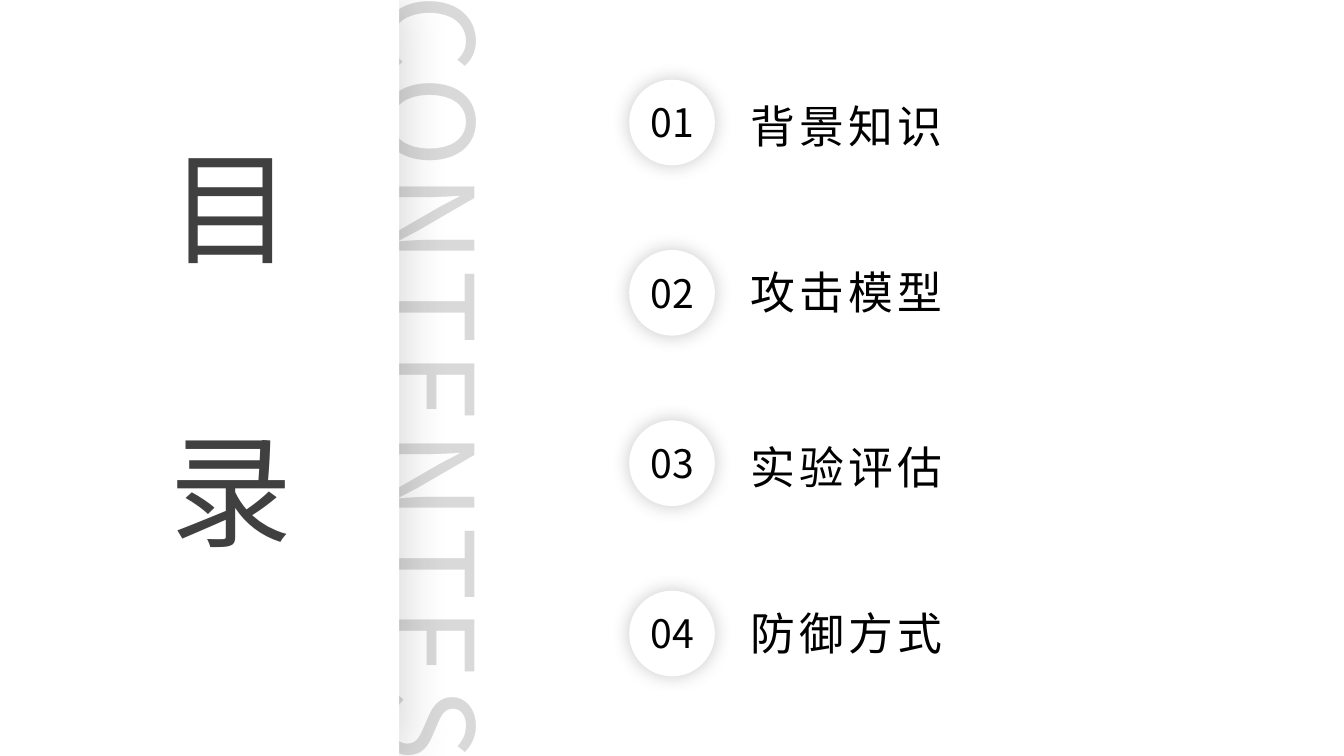
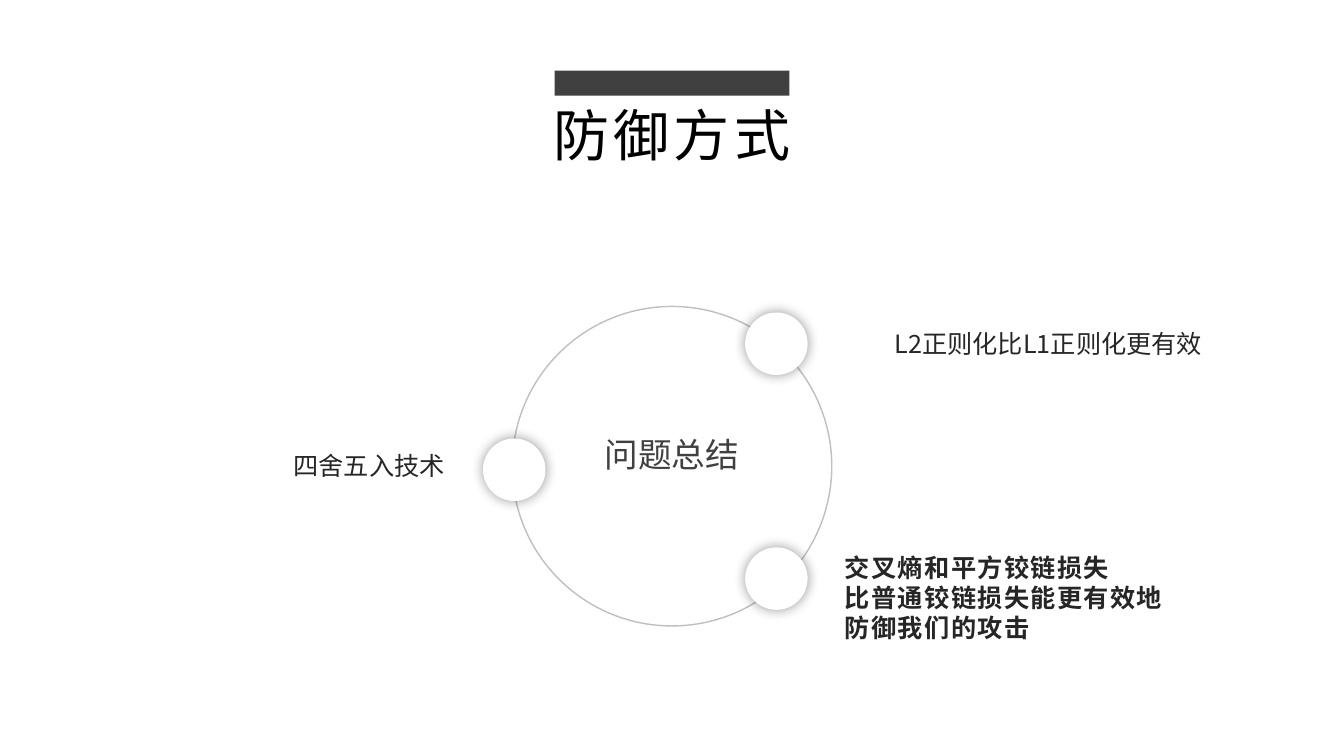
from lxml import etree
from pptx import Presentation
from pptx.dml.color import RGBColor
from pptx.enum.shapes import MSO_SHAPE
from pptx.enum.text import PP_ALIGN
from pptx.oxml.ns import qn
from pptx.util import Inches, Pt

RECT, OVAL = MSO_SHAPE.RECTANGLE, MSO_SHAPE.OVAL
LEFT, CENTER, RIGHT = PP_ALIGN.LEFT, PP_ALIGN.CENTER, PP_ALIGN.RIGHT

# Shared look
FONT = "Noto Sans CJK SC"
WHITE, BLACK, DARK, BODY = "FFFFFF", "000000", "404040", "262626"
PALE, RING = "D9D9D9", "BFBFBF"
# Shadows: opacity %, blur pt, distance pt
PANEL_SHADOW, BADGE_SHADOW, NODE_SHADOW = (16, 36, 3), (22, 14, 0), (40, 9, 0)

# Contents slide
CONTENTS_WORD = "CONTENTES"
HEADING = [("目", 1.25), ("录", 4.06)]  # character, top
CHAPTERS = [("背景知识", 0.93), ("攻击模型", 2.58), ("实验评估", 4.31), ("防御方式", 5.96)]  # name, top
BADGE_TOP, BADGE_STEP, BADGE_SIZE = 0.79, 1.69, 0.85

# Defence slide
DEFENCE_TITLE = "防御方式"
HUB = "问题总结"
NODE_SIZE = 0.62
NODES = [(4.79, 4.35), (7.39, 3.1), (7.39, 5.43)]  # left, top
FINDINGS = [  # lines, box, alignment, emphasis
    (["四舍五入技术"], (1.85, 4.42, 2.66, 0.4), RIGHT, {}),
    (["L2正则化比L1正则化更有效"], (8.47, 3.21, 3.55, 0.4), RIGHT, {}),
    (["交叉熵和平方铰链损失", "比普通铰链损失能更有效地", "防御我们的攻击"],
     (8.28, 5.43, 3.75, 1.01), LEFT, {"bold": True, "spacing": 1}),
]


def rgb(value):
    return RGBColor.from_string(value)


def add_text(slide, lines, box, size, color, align=CENTER, bold=False, spacing=0):
    """Text box with one paragraph per line; spacing is between letters, in points."""
    textbox = slide.shapes.add_textbox(*map(Inches, box))
    frame = textbox.text_frame
    frame.word_wrap = True
    frame.text = "\n".join(lines)
    for paragraph in frame.paragraphs:
        paragraph.alignment = align
        font = paragraph.font
        font.size, font.bold, font.name = Pt(size), bold, FONT
        font.color.rgb = rgb(color)
        properties = font._rPr
        etree.SubElement(properties, qn("a:ea"), typeface=FONT)
        if spacing:
            properties.set("spc", str(spacing * 100))
    return textbox


def add_plain(slide, kind, box, fill=None, line=None, shadow=None):
    """Preset shape with optional fill, outline and soft shadow."""
    shape = slide.shapes.add_shape(kind, *map(Inches, box))
    shape.shadow.inherit = False
    if fill:
        shape.fill.solid()
        shape.fill.fore_color.rgb = rgb(fill)
    else:
        shape.fill.background()
    if line:
        shape.line.color.rgb = rgb(line)
        shape.line.width = Pt(1)
    else:
        shape.line.fill.background()
    if shadow:
        opacity, blur, distance = shadow
        effects = shape._element.spPr.find(qn("a:effectLst"))
        outer = etree.SubElement(effects, qn("a:outerShdw"), blurRad=str(Pt(blur)),
                                 dist=str(Pt(distance)), dir="0", algn="ctr", rotWithShape="0")
        tint = etree.SubElement(outer, qn("a:srgbClr"), val=BLACK)
        etree.SubElement(tint, qn("a:alpha"), val=str(opacity * 1000))


def build_contents(slide):
    # Side panel covering half of the vertical word
    word = add_text(slide, [CONTENTS_WORD], (-0.88, 2.96, 10.34, 1.58), 88, PALE, spacing=5)
    word.rotation = 90
    add_plain(slide, RECT, (0, 0, 3.96, 7.5), WHITE, shadow=PANEL_SHADOW)
    for character, top in HEADING:
        add_text(slide, [character], (1.58, top, 0.81, 1.58), 88, DARK)

    # Numbered chapters
    for index, (chapter, top) in enumerate(CHAPTERS):
        badge_top = BADGE_TOP + index * BADGE_STEP
        add_plain(slide, OVAL, (6.24, badge_top, BADGE_SIZE, BADGE_SIZE), WHITE, shadow=BADGE_SHADOW)
        add_text(slide, [f"{index + 1:02}"], (6.16, badge_top + 0.14, 1.02, 0.57), 28, BLACK)
        add_text(slide, [chapter], (7.34, top, 4.21, 0.64), 32, BLACK, LEFT, spacing=3)


def build_defence(slide):
    # Title under its bar
    add_text(slide, [DEFENCE_TITLE], (3.47, 0.95, 6.39, 0.77), 40, BLACK, spacing=3)
    add_plain(slide, RECT, (5.5, 0.7, 2.33, 0.25), DARK)

    # Findings around the ring
    for lines, box, align, emphasis in FINDINGS:
        add_text(slide, lines, box, 18, BODY, align, **emphasis)

    # Ring with nodes and hub
    add_plain(slide, OVAL, (5.08, 3.04, 3.17, 3.17), line=RING)
    for left, top in NODES:
        add_plain(slide, OVAL, (left, top, NODE_SIZE, NODE_SIZE), WHITE, shadow=NODE_SHADOW)
    add_text(slide, [HUB], (5.8, 4.26, 1.73, 0.5), 24, DARK)


def main():
    deck = Presentation()
    deck.slide_width, deck.slide_height = Inches(13.33), Inches(7.5)
    blank = deck.slide_layouts[6]
    for build in (build_contents, build_defence):
        build(deck.slides.add_slide(blank))
    deck.save("out.pptx")


if __name__ == "__main__":
    main()
